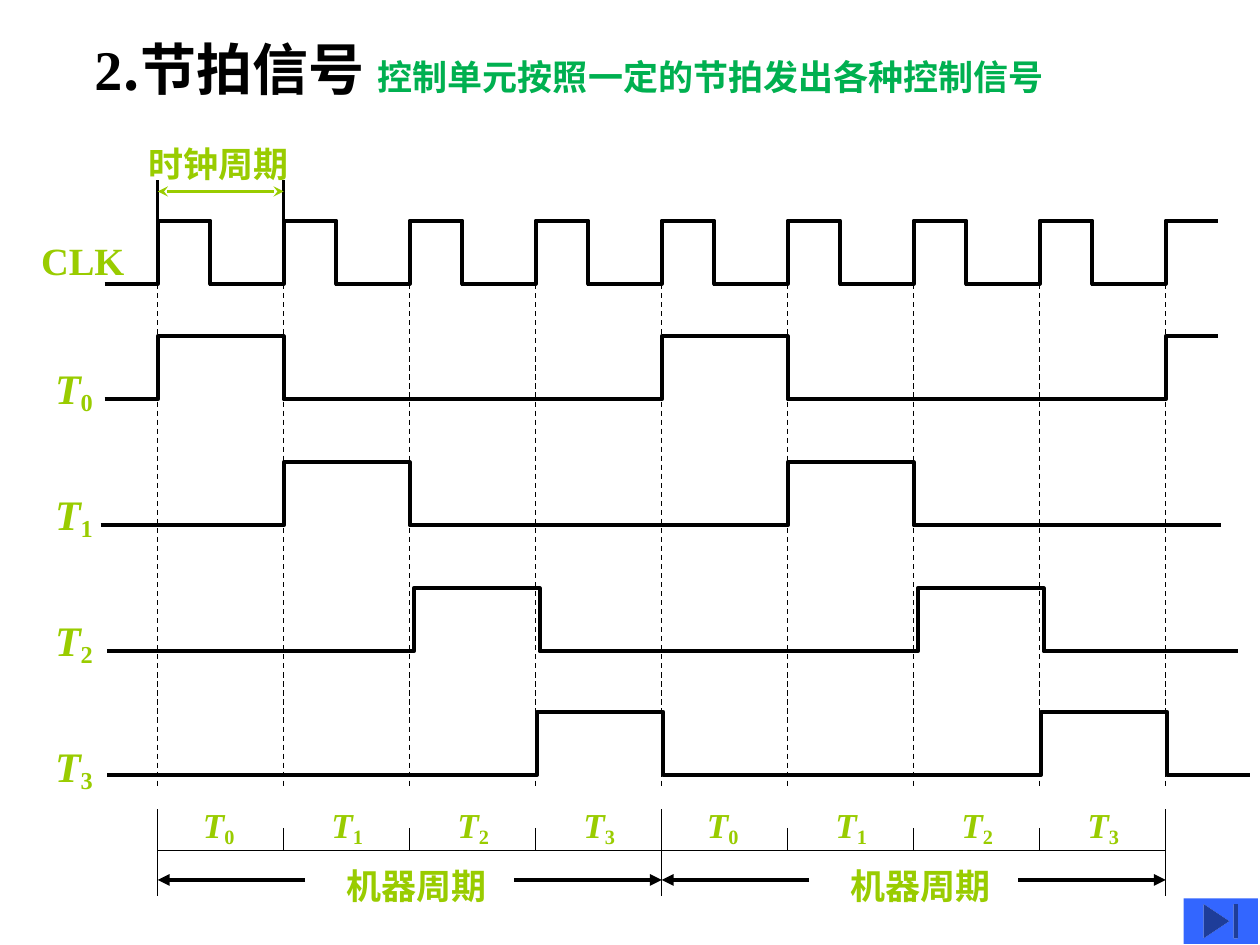
from lxml.etree import SubElement
from pptx import Presentation
from pptx.dml.color import RGBColor
from pptx.enum.dml import MSO_LINE
from pptx.enum.shapes import MSO_CONNECTOR, MSO_SHAPE
from pptx.enum.text import MSO_ANCHOR, PP_ALIGN
from pptx.oxml.ns import qn
from pptx.util import Cm, Pt

BLACK, LIME, GREEN, BLUE = "000000", "99CC00", "00B050", "3366FF"
LATIN, CHINESE = "Times New Roman", "Noto Sans CJK SC"

# Lengths in centimetres
CYCLE, LEFT, CYCLES, PHASES = 2.54, 3.18, 8, 4
PULSE_HEIGHT = 1.27
CLOCK = {"top": 4.45, "start": 2.11, "end": 24.56, "high": 1.06, "lead": 1.5}

TITLE = [("2", 32, BLACK, LATIN), (".节拍信号 ", 32, BLACK, CHINESE),
         ("控制单元按照一定的节拍发出各种控制信号", 20, GREEN, CHINESE)]
# top, start, end, shift of the pulses, cycles with a pulse
BEATS = [
    (6.78, 2.11, 24.56, 0, (0, 4, 8)),
    (9.32, 2.03, 24.61, 0, (1, 5)),
    (11.86, 2.16, 24.95, 0.08, (2, 6)),
    (14.35, 2.16, 25.2, 0.03, (3, 7)),
]


def edge(cycle):
    return LEFT + cycle * CYCLE


def color(value):
    return RGBColor.from_string(value)


def style_run(run, size, tint, latin=LATIN):
    font = run.font
    font.size, font.bold, font.name = Pt(size), True, latin
    font.color.rgb = color(tint)
    SubElement(run._r.get_or_add_rPr(), qn("a:ea")).set("typeface", CHINESE)


def add_label(slide, x, y, width, height, text, size, subscript=""):
    box = slide.shapes.add_textbox(Cm(x), Cm(y), Cm(width), Cm(height))
    frame = box.text_frame
    frame.text = text
    frame.word_wrap = False
    paragraph = frame.paragraphs[0]
    style_run(paragraph.runs[0], size, LIME)
    if subscript:
        paragraph.runs[0].font.italic = True
        run = paragraph.add_run()
        run.text = subscript
        style_run(run, size, LIME)
        run._r.get_or_add_rPr().set("baseline", "-15000")


def add_line(slide, x1, y1, x2, y2, width=0.75, tint=BLACK, dash=None, head=None, tail=None):
    line = slide.shapes.add_connector(
        MSO_CONNECTOR.STRAIGHT, Cm(x1), Cm(y1), Cm(x2), Cm(y2))
    line.line.width = Pt(width)
    line.line.color.rgb = color(tint)
    if dash:
        line.line.dash_style = dash
    for tag, kind in (("a:headEnd", head), ("a:tailEnd", tail)):
        if kind:
            SubElement(line.line._get_or_add_ln(), qn(tag)).set("type", kind)
    SubElement(line._element.spPr, qn("a:effectLst"))


def add_wave(slide, top, start, end, rises, high=CYCLE):
    """Draw a signal that is low except for a pulse after each rise, cut off at end."""
    low = top + PULSE_HEIGHT
    points = [(start, low)]
    for rise in rises:
        fall = min(rise + high, end)
        points += [(rise, low), (rise, top), (fall, top)]
        if fall < end:
            points.append((fall, low))
    if fall < end:
        points.append((end, low))
    points = [(Cm(x), Cm(y)) for x, y in points]
    builder = slide.shapes.build_freeform(*points[0])
    builder.add_line_segments(points[1:], close=False)
    wave = builder.convert_to_shape()
    wave.shadow.inherit = False
    wave.fill.background()
    wave.line.color.rgb = color(BLACK)
    wave.line.width = Pt(2.25)


def add_title(slide):
    title = slide.shapes.title
    title.left, title.top, title.width, title.height = Cm(1.65), Cm(0.56), Cm(20.8), Cm(1.63)
    frame = title.text_frame
    frame.vertical_anchor = MSO_ANCHOR.MIDDLE
    paragraph = frame.paragraphs[0]
    paragraph.alignment = PP_ALIGN.LEFT
    for text, size, tint, font in TITLE:
        run = paragraph.add_run()
        run.text = text
        style_run(run, size, tint, font)


def add_signals(slide):
    for top, start, end, shift, cycles in BEATS:
        add_wave(slide, top, start, end, [edge(cycle) + shift for cycle in cycles])
    add_label(slide, 0.58, 4.65, 2.18, 1.19, "CLK", 22)
    for phase in range(PHASES):
        add_label(slide, 0.86, 7.19 + phase * CYCLE, 1.27, 1.32, "T", 24, str(phase))

    for cycle in range(CYCLES + 1):
        x = edge(cycle)
        start = x - CLOCK["lead"] if cycle else CLOCK["start"]
        # The small extra length brings each pulse back down to low
        end = x + CLOCK["high"] + 0.01 if cycle < CYCLES else CLOCK["end"]
        add_wave(slide, CLOCK["top"], start, end, [x], CLOCK["high"])
        add_line(slide, x, 5.0, x, 15.88, dash=MSO_LINE.DASH)

    for cycle in (0, 1):
        add_line(slide, edge(cycle), 3.63, edge(cycle), 4.5, 1.5)
    add_line(slide, edge(0), 3.86, edge(1), 3.86, 1.5, LIME, head="stealth", tail="stealth")
    add_label(slide, 2.74, 2.74, 3.33, 1.12, "时钟周期", 20)


def add_scale(slide):
    axis = 17.15
    add_line(slide, edge(0), axis, edge(CYCLES), axis)
    for cycle in range(CYCLES + 1):
        top, bottom = (16.69, axis) if cycle % PHASES else (16.31, 18.06)
        add_line(slide, edge(cycle), top, edge(cycle), bottom)
    for cycle in range(CYCLES):
        phase = cycle % PHASES
        offset = 0.71 if phase else 0.66
        add_label(slide, edge(cycle) + offset, 16.08, 1.14, 1.14, "T", 20, str(phase))
    for first in range(0, CYCLES, PHASES):
        begin, finish, y = edge(first), edge(first + PHASES), 17.74
        add_line(slide, finish - 2.97, y, finish, y, 2.25, tail="triangle")
        add_line(slide, begin + 2.97, y, begin, y, 2.25, tail="triangle")
        add_label(slide, begin + 3.56, 17.3, 3.33, 1.12, "机器周期", 20)


def add_end_button(slide):
    button = slide.shapes.add_shape(
        MSO_SHAPE.ACTION_BUTTON_END, Cm(23.86), Cm(18.11), Cm(1.5), Cm(0.92))
    button.shadow.inherit = False
    button.fill.solid()
    button.fill.fore_color.rgb = color(BLUE)
    button.line.fill.background()


def main():
    presentation = Presentation()
    presentation.slide_width, presentation.slide_height = Cm(25.4), Cm(19.05)
    slide = presentation.slides.add_slide(presentation.slide_layouts[5])
    add_title(slide)
    add_signals(slide)
    add_scale(slide)
    add_end_button(slide)
    presentation.save("out.pptx")


if __name__ == "__main__":
    main()
